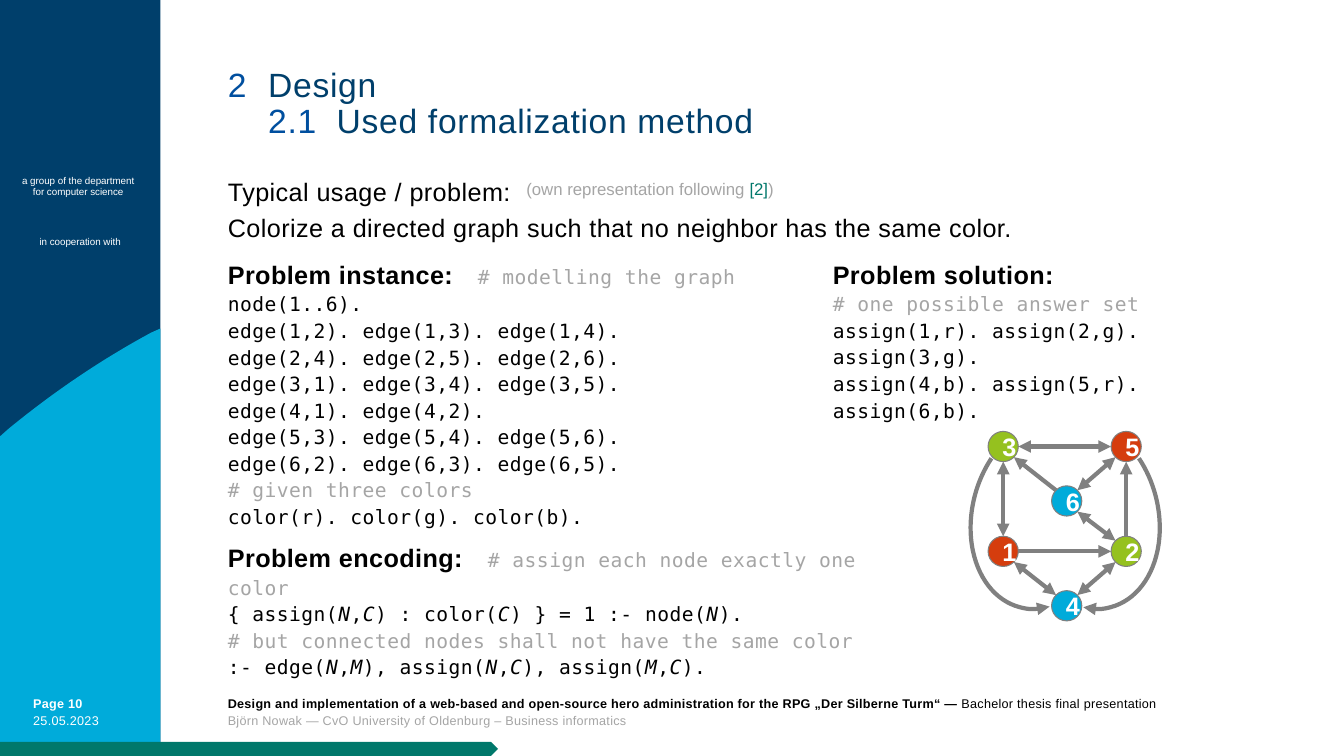
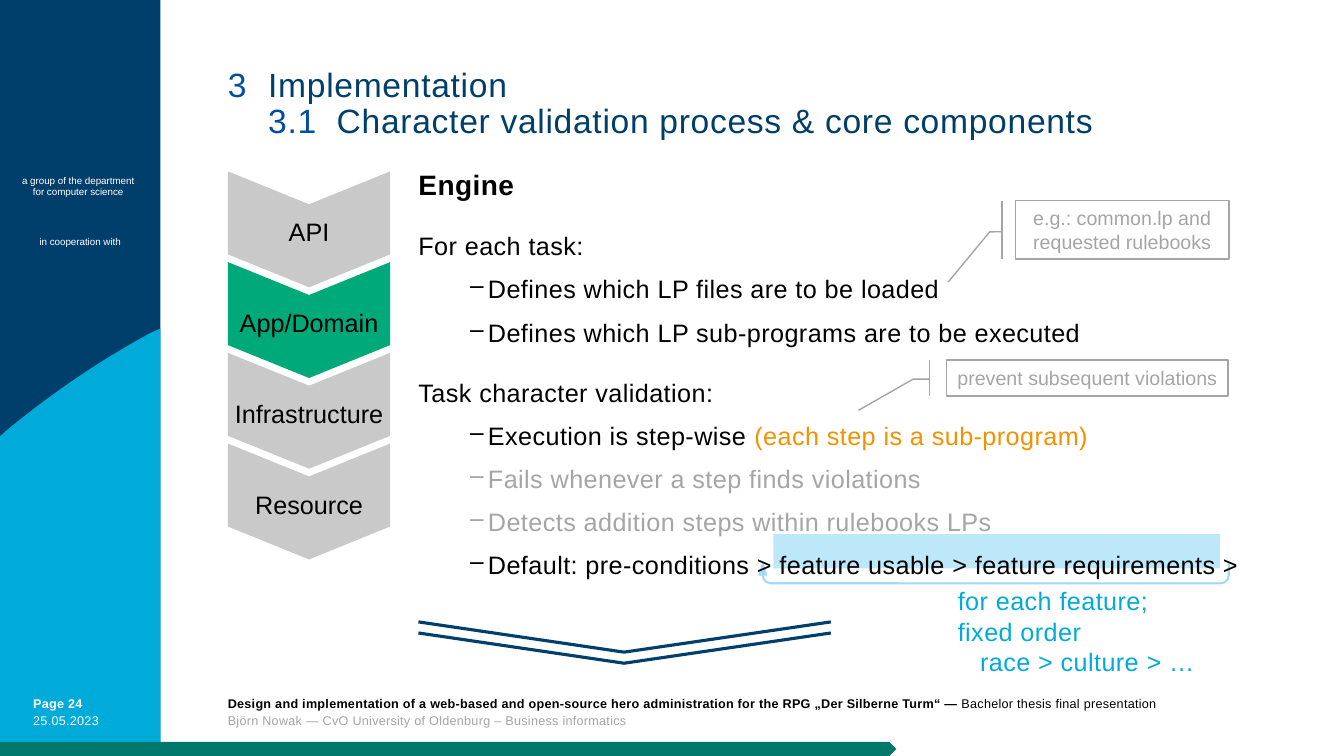
from itertools import groupby
from math import copysign, hypot

from lxml import etree
from pptx import Presentation
from pptx.dml.color import RGBColor
from pptx.enum.shapes import MSO_CONNECTOR, MSO_SHAPE as SHAPE
from pptx.enum.text import MSO_ANCHOR as ANCHOR, PP_ALIGN as ALIGN
from pptx.oxml.ns import qn
from pptx.util import Inches, Pt

NAVY, CYAN, TEAL, GREEN = "003F6B", "00ABDA", "00786B", "00A97A"
BLUE, LIME, RED, ORANGE = "004F9F", "95C11F", "D53D0E", "F39200"
SKY, PALE_SKY, BLACK, WHITE = "A1DAF8", "BDE8FA", "000000", "FFFFFF"
GREY, LIGHT_GREY, DARK_GREY = "A5A5A5", "C9C9C9", "808080"

SANS, MONO = "Arial", "DejaVu Sans Mono"
PROSE_SPACING, CODE_SPACING = 1.15, 1.13
BODY = dict(size=18, spacing=0.3)
CODE = dict(size=14, spacing=0.3, font=MONO)
SMALL = dict(size=9, spacing=0.2)
TITLE = dict(size=24, spacing=0.5)

CONTENT_LEFT, BAND_WIDTH = 2.26, 1.59
NODE_SIZE = 0.3


def rgb(color):
    return RGBColor.from_string(color)


def add_run(p, text, size=18, color=BLACK, bold=False, italic=False, font=SANS, spacing=0):
    r = p.add_run()
    r.text = text
    r.font.name, r.font.size = font, Pt(size)
    r.font.bold, r.font.italic = bold, italic
    r.font.color.rgb = rgb(color)
    if spacing:
        r._r.get_or_add_rPr().set("spc", str(round(spacing * 100)))


def add_para(tf, runs, line=None, after=0, align=None, indent=0, hang=0, bullet=None, tabs=()):
    """Append a paragraph; runs is a list of (text, style) pairs, lengths are inches."""
    p = tf.paragraphs[0]
    if p.runs:
        p = tf.add_paragraph()
    pPr = p._p.get_or_add_pPr()
    if indent:
        pPr.set("marL", str(Inches(indent)))
        pPr.set("indent", str(-Inches(hang)))
    if bullet:
        etree.SubElement(pPr, qn("a:buChar")).set("char", bullet)
    if tabs:
        tab_list = etree.SubElement(pPr, qn("a:tabLst"))
        for pos in tabs:
            tab = etree.SubElement(tab_list, qn("a:tab"))
            tab.set("pos", str(Inches(pos)))
            tab.set("algn", "l")
    if line:
        p.line_spacing = line
    if after:
        p.space_after = Pt(after)
    if align is not None:
        p.alignment = align
    for text, style in runs:
        add_run(p, text, **style)


def add_text_box(slide, left, top, width, height, anchor=ANCHOR.TOP):
    box = slide.shapes.add_textbox(Inches(left), Inches(top), Inches(width), Inches(height))
    tf = box.text_frame
    tf.word_wrap = True
    tf.vertical_anchor = anchor
    tf.margin_left = tf.margin_right = tf.margin_top = tf.margin_bottom = 0
    return tf


def paint(sp, fill=None, line=None, weight=1):
    sp.shadow.inherit = False
    if fill:
        sp.fill.solid()
        sp.fill.fore_color.rgb = rgb(fill)
    else:
        sp.fill.background()
    if line:
        sp.line.color.rgb = rgb(line)
        sp.line.width = Pt(weight)
    else:
        sp.line.fill.background()


def add_shape(slide, kind, left, top, width, height, adjust=(), rotation=0, **look):
    sp = slide.shapes.add_shape(kind, Inches(left), Inches(top), Inches(width), Inches(height))
    for i, value in enumerate(adjust):
        sp.adjustments[i] = value
    sp.rotation = rotation
    paint(sp, **look)
    return sp


def add_outline(slide, points, close, **look):
    pts = [(Inches(x), Inches(y)) for x, y in points]
    builder = slide.shapes.build_freeform(*pts[0])
    builder.add_line_segments(pts[1:], close=close)
    paint(builder.convert_to_shape(), **look)


def add_arrowhead(line, end):
    etree.SubElement(line._get_or_add_ln(), qn(f"a:{end}")).set("type", "triangle")


def bezier(p0, p1, p2, p3, steps=16):
    for i in range(steps + 1):
        t = i / steps
        weights = ((1 - t) ** 3, 3 * t * (1 - t) ** 2, 3 * t * t * (1 - t), t ** 3)
        yield tuple(sum(w * c for w, c in zip(weights, axis)) for axis in zip(p0, p1, p2, p3))


def add_frame(slide, page, progress):
    """Side band, footer and progress bar."""
    add_shape(slide, SHAPE.RECTANGLE, 0, 0, BAND_WIDTH, 7.5, fill=NAVY)
    curve = bezier((0.09, 4.25), (0.53, 3.89), (1, 3.57), (1.5, 3.3))
    wave = [(BAND_WIDTH, 3.26), (BAND_WIDTH, 7.5), (0, 7.5), (0, 4.33), *curve]
    add_outline(slide, wave, True, fill=CYAN)

    tiny = dict(size=7, color=WHITE)
    tf = add_text_box(slide, 0, 1.73, 1.55, 0.24)
    for text in ("a group of the department", "for computer science"):
        add_para(tf, [(text, tiny)], align=ALIGN.CENTER)
    tf = add_text_box(slide, 0, 2.34, BAND_WIDTH, 0.12)
    add_para(tf, [("in cooperation with", tiny)], align=ALIGN.CENTER)

    tf = add_text_box(slide, 0.33, 6.89, 1.14, 0.4)
    white = dict(SMALL, color=WHITE)
    add_para(tf, [(f"Page {page}", dict(white, bold=True))], line=Pt(12))
    add_para(tf, [("25.05.2023", white)], line=Pt(12))

    tf = add_text_box(slide, CONTENT_LEFT, 6.89, 10, 0.4)
    thesis = ("Design and implementation of a web-based and open-source hero "
              "administration for the RPG „Der Silberne Turm“ — ")
    add_para(tf, [(thesis, dict(SMALL, bold=True)),
                  ("Bachelor thesis final presentation", SMALL)], line=Pt(12))
    add_para(tf, [("Björn Nowak — CvO University of Oldenburg – Business informatics",
                   dict(SMALL, color=GREY))], line=Pt(12))

    add_shape(slide, SHAPE.PENTAGON, 0, 7.36, progress, 0.14, fill=TEAL)


def add_title(slide, chapter, title, section, subtitle):
    tf = add_text_box(slide, CONTENT_LEFT, 0.68, 9.41, 0.83)
    number, words = dict(TITLE, color=BLUE), dict(TITLE, color=NAVY)
    for label, text in ((f"{chapter}\t", title), (f"\t{section}\t", subtitle)):
        add_para(tf, [(label, number), (text, words)], line=0.9, tabs=(0.4, 1.08))


def code_runs(line):
    """Grey comments; variables (capital letters) in italics."""
    if line.startswith("#"):
        return [(line, dict(CODE, color=GREY))]
    return [("".join(chars), dict(CODE, italic=is_variable))
            for is_variable, chars in groupby(line, str.isupper)]


def add_code(slide, left, top, width, height, heading, lines, comment="", tab=0):
    tf = add_text_box(slide, left, top, width, height)
    runs = [(heading, dict(BODY, bold=True))]
    if comment:
        runs += [("\t", BODY), (comment, dict(CODE, color=GREY))]
    add_para(tf, runs, line=CODE_SPACING, tabs=(tab,) if tab else ())
    for line in lines:
        add_para(tf, code_runs(line), line=CODE_SPACING)


def add_edge(slide, start, end, both_ways):
    """Join two node centres; the ends sit on one of the eight compass points of a node."""
    dx, dy = (copysign(1, b - a) if a != b else 0 for a, b in zip(start, end))
    reach = NODE_SIZE / 2 / hypot(dx, dy)
    cx = slide.shapes.add_connector(
        MSO_CONNECTOR.STRAIGHT,
        Inches(start[0] + dx * reach), Inches(start[1] + dy * reach),
        Inches(end[0] - dx * reach), Inches(end[1] - dy * reach))
    cx.line.color.rgb = rgb(DARK_GREY)
    cx.line.width = Pt(3)
    if both_ways:
        add_arrowhead(cx.line, "headEnd")
    add_arrowhead(cx.line, "tailEnd")
    etree.SubElement(cx._element.spPr, qn("a:effectLst"))


def add_graph(slide):
    x1, x2, x3 = 9.95, 10.58, 11.17
    nodes = {3: (x1, 4.43, LIME), 5: (x3, 4.43, RED), 1: (x1, 5.47, RED),
             2: (x3, 5.47, LIME), 6: (x2, 4.97, CYAN), 4: (x2, 6.01, CYAN)}
    for label, (x, y, color) in nodes.items():
        sp = add_shape(slide, SHAPE.FLOWCHART_CONNECTOR, x - NODE_SIZE / 2, y - NODE_SIZE / 2,
                       NODE_SIZE, NODE_SIZE, fill=color, line=DARK_GREY, weight=0.75)
        sp.text_frame.vertical_anchor = ANCHOR.MIDDLE
        add_para(sp.text_frame, [(str(label), dict(color=WHITE, bold=True))], align=ALIGN.CENTER)

    one_way = [(1, 2), (2, 5), (6, 3)]
    two_way = [(3, 5), (3, 1), (6, 5), (6, 2), (1, 4), (4, 2)]
    for a, b in one_way + two_way:
        add_edge(slide, nodes[a][:2], nodes[b][:2], (a, b) in two_way)

    for left, rotation, stop, mirrored in ((9.82, 75.4, 9.885, False), (9.4, 284.6, 10.825, True)):
        arc = add_shape(slide, SHAPE.ARC, left, 4.39, 1.91, 1.42, adjust=(142.73, stop),
                        rotation=rotation, line=DARK_GREY, weight=3)
        if mirrored:
            arc._element.spPr.find(qn("a:xfrm")).set("flipH", "1")
        add_arrowhead(arc.line, "tailEnd")


def add_layers(slide, names, active):
    for i, name in enumerate(names):
        top = 1.47 + 0.9 * i
        add_shape(slide, SHAPE.CHEVRON, 2.49, top, 1.15, 1.61, adjust=(0.284,), rotation=90,
                  fill=GREEN if name == active else LIGHT_GREY)
        tf = add_text_box(slide, 2.22, top + 0.63, 1.69, 0.4, ANCHOR.MIDDLE)
        add_para(tf, [(name, {})], align=ALIGN.CENTER)


def add_callout(slide, left, top, width, height, lines):
    sp = add_shape(slide, SHAPE.LINE_CALLOUT_2_BORDER_AND_ACCENT_BAR, left, top, width, height,
                   adjust=(0.532, -0.062, 0.535, -0.12, 1.392, -0.314), line=GREY)
    tf = sp.text_frame
    tf.vertical_anchor = ANCHOR.MIDDLE
    tf.margin_left = tf.margin_right = Inches(0.05)
    for text in lines:
        add_para(tf, [(text, dict(size=14, color=GREY))], align=ALIGN.CENTER)


def build_design(slide):
    add_frame(slide, 10, 4.94)
    add_title(slide, "2", "Design", "2.1", "Used formalization method")

    tf = add_text_box(slide, CONTENT_LEFT, 1.7, 9.41, 0.7)
    for text in ("Typical usage / problem:",
                 "Colorize a directed graph such that no neighbor has the same color."):
        add_para(tf, [(text, BODY)], line=PROSE_SPACING, after=1)
    tf = add_text_box(slide, 5.22, 1.77, 3, 0.2)
    note = dict(size=12, color=GREY)
    add_para(tf, [("(own representation following ", note),
                  ("[2]", dict(note, color=TEAL)), (")", note)])

    add_code(slide, CONTENT_LEFT, 2.53, 5.14, 2.68, "Problem instance:", [
        "node(1..6).",
        "edge(1,2). edge(1,3). edge(1,4).",
        "edge(2,4). edge(2,5). edge(2,6).",
        "edge(3,1). edge(3,4). edge(3,5).",
        "edge(4,1). edge(4,2).",
        "edge(5,3). edge(5,4). edge(5,6).",
        "edge(6,2). edge(6,3). edge(6,5).",
        "# given three colors",
        "color(r). color(g). color(b).",
    ], "# modelling the graph", 2.48)
    add_code(slide, CONTENT_LEFT, 5.34, 6.61, 1.35, "Problem encoding:", [
        "{ assign(N,C) : color(C) } = 1 :- node(N).",
        "# but connected nodes shall not have the same color",
        ":- edge(N,M), assign(N,C), assign(M,C).",
    ], "# assign each node exactly one color", 2.58)
    add_code(slide, 8.26, 2.53, 4.49, 1.6, "Problem solution:", [
        "# one possible answer set",
        "assign(1,r). assign(2,g). assign(3,g).",
        "assign(4,b). assign(5,r). assign(6,b).",
    ])
    add_graph(slide)


def build_implementation(slide):
    add_frame(slide, 24, 8.89)
    add_title(slide, "3", "Implementation", "3.1",
              "Character validation process & core components")
    add_layers(slide, ["API", "App/Domain", "Infrastructure", "Resource"], "App/Domain")

    add_shape(slide, SHAPE.RECTANGLE, 7.67, 5.3, 4.43, 0.34, fill=PALE_SKY)
    add_shape(slide, SHAPE.U_TURN_ARROW, 7.53, 5.57, 4.66, 0.22, rotation=180,
              adjust=(0.032, 0.162, 0.514, 0.376, 0.912), fill=SKY, line=SKY)

    tf = add_text_box(slide, 4.15, 1.61, 8.5, 4.07)
    muted = dict(BODY, color=GREY)
    item = dict(indent=0.69, hang=0.19, bullet="‒")
    for runs, after, layout in (
        ([("Engine", dict(BODY, size=20, bold=True))], 18, {}),
        ([("For each task:", BODY)], 6, {}),
        ([("Defines which LP files are to be loaded", BODY)], 6, item),
        ([("Defines which LP sub-programs are to be executed", BODY)], 18, item),
        ([("Task character validation:", BODY)], 6, {}),
        ([("Execution is step-wise ", BODY),
          ("(each step is a sub-program)", dict(BODY, color=ORANGE))], 6, item),
        ([("Fails whenever a step finds violations", muted)], 6, item),
        ([("Detects addition steps within rulebooks LPs", muted)], 6, item),
        ([("Default: pre-conditions > feature usable > feature requirements >", BODY)], 0, item),
    ):
        add_para(tf, runs, line=PROSE_SPACING, after=after, **layout)

    tf = add_text_box(slide, 9.5, 5.81, 2.45, 0.95)
    for text, indent in (("for each feature;", 0), ("fixed order", 0),
                         ("race > culture > …", 0.22)):
        add_para(tf, [(text, dict(BODY, color=CYAN))], indent=indent)

    for top in (6.17, 6.28):
        add_outline(slide, [(4.15, top), (6.19, top + 0.3), (8.24, top)], False,
                    line=NAVY, weight=2.25)
    add_callout(slide, 10.07, 1.99, 2.12, 0.58, ["e.g.: common.lp and", "requested rulebooks"])
    add_callout(slide, 9.39, 3.57, 2.79, 0.36, ["prevent subsequent violations"])


def main():
    prs = Presentation()
    prs.slide_width, prs.slide_height = Inches(13.33), Inches(7.5)
    for build in (build_design, build_implementation):
        build(prs.slides.add_slide(prs.slide_layouts[6]))
    prs.save("out.pptx")


if __name__ == "__main__":
    main()
